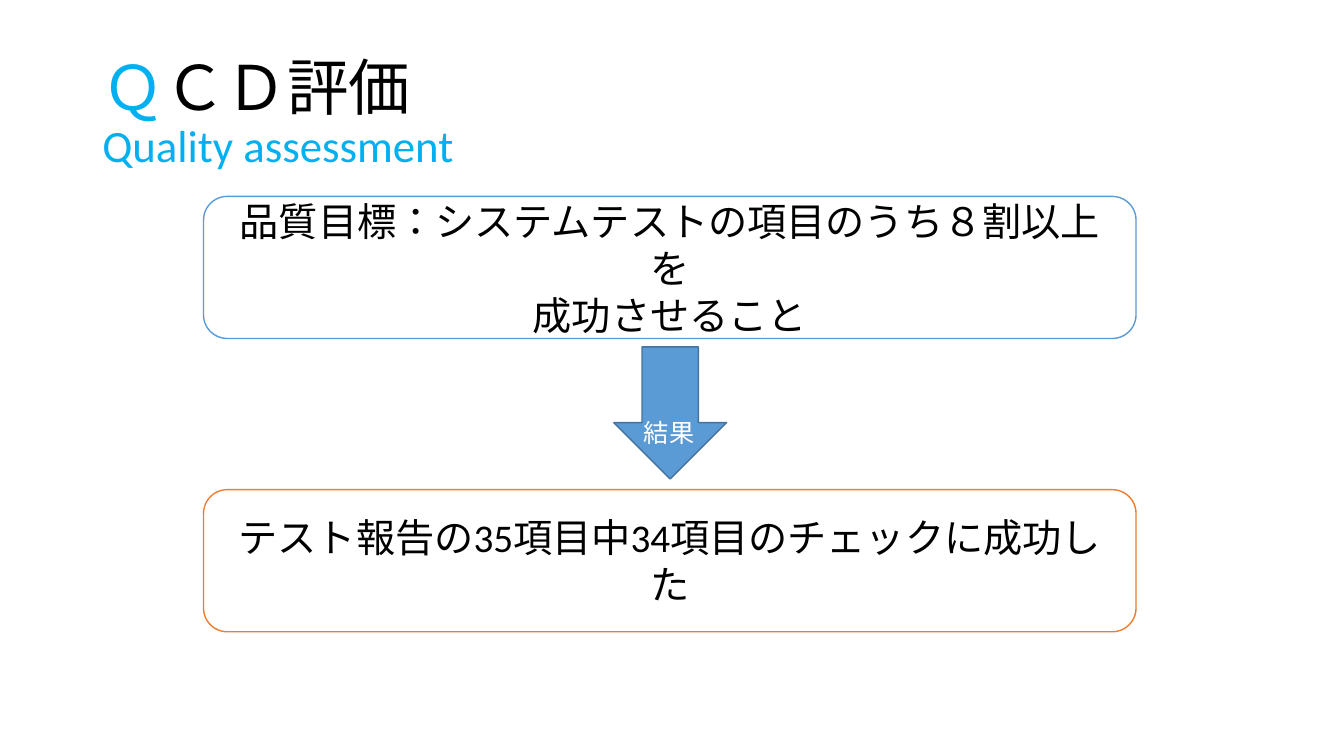
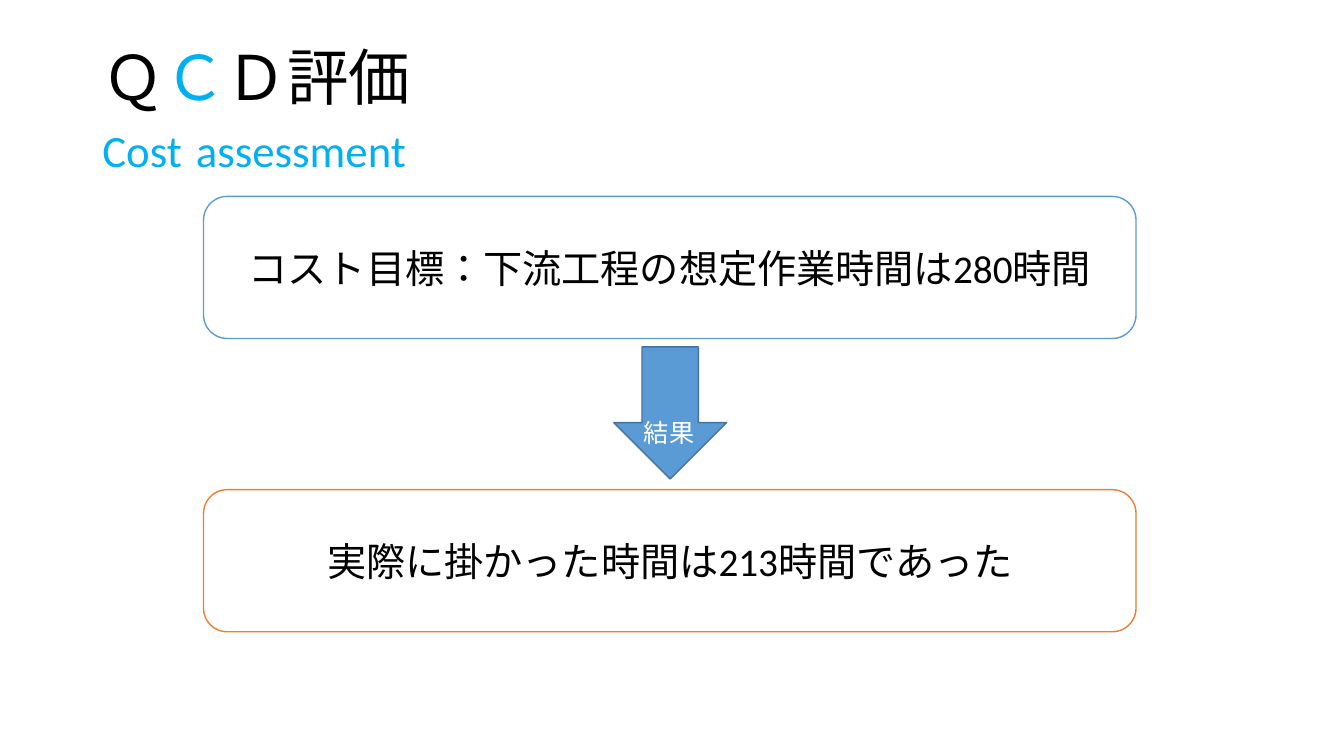
from dataclasses import dataclass
from typing import Any

import pptx
import pptx.dml.color
import pptx.enum.lang
import pptx.enum.shapes
import pptx.enum.text
import pptx.util

Cm = pptx.util.Cm
Pt = pptx.util.Pt
Shape = pptx.enum.shapes.MSO_SHAPE
Align = pptx.enum.text.PP_ALIGN
Anchor = pptx.enum.text.MSO_ANCHOR


@dataclass(frozen=True)
class Theme:
    font: str = "Calibri"
    text: str = "000000"
    paper: str = "FFFFFF"
    accent: str = "00B0F0"
    blue: str = "5B9BD5"
    dark_blue: str = "43739E"
    orange: str = "ED7D31"
    title_size: int = 44
    subtitle_size: int = 32
    body_size: int = 28
    label_size: int = 18


@dataclass(frozen=True)
class Run:
    text: str
    size: int
    color: str


@dataclass(frozen=True)
class Box:
    left: float
    top: float
    width: float
    height: float

    def emu(self) -> tuple[int, ...]:
        return tuple(Cm(v) for v in (self.left, self.top, self.width, self.height))


@dataclass(frozen=True)
class Assessment:
    letter: str
    subtitle: list[Run]
    goal: list[str]
    result: list[str]


THEME = Theme()
TITLE = Box(2.33, 1.04, 29.21, 3.68)
GOAL = Box(5.13, 4.95, 23.5, 3.58)
RESULT = Box(5.13, 12.34, 23.5, 3.58)
ARROW = Box(15.47, 8.74, 2.84, 3.33)
LABEL = Box(15.98, 10.39, 1.8, 1.02)


# Text
def write(tf: Any, paragraphs: list[list[Run]], *, align: Any = Align.LEFT,
          anchor: Any = Anchor.MIDDLE, wrap: bool = True,
          spacing: float = 1.0) -> None:
    """Fill a text frame; a run holding only a newline is a line break."""
    tf.word_wrap = wrap
    tf.vertical_anchor = anchor
    for i, runs in enumerate(paragraphs):
        p = tf.add_paragraph() if i else tf.paragraphs[0]
        p.alignment = align
        p.line_spacing = spacing
        for run in runs:
            if run.text == "\n":
                p.add_line_break()
                continue
            r = p.add_run()
            r.text = run.text
            r.font.name = THEME.font
            r.font.size = Pt(run.size)
            r.font.color.rgb = pptx.dml.color.RGBColor.from_string(run.color)
            r.font.language_id = pptx.enum.lang.MSO_LANGUAGE_ID.JAPANESE


# Shapes
def add_shape(s: Any, kind: Any, box: Box, fill: str, line: str) -> Any:
    sp = s.shapes.add_shape(kind, *box.emu())
    sp.shadow.inherit = False
    sp.fill.solid()
    sp.fill.fore_color.rgb = pptx.dml.color.RGBColor.from_string(fill)
    sp.line.color.rgb = pptx.dml.color.RGBColor.from_string(line)
    sp.line.width = Pt(1)
    return sp


def add_panel(s: Any, box: Box, line: str, texts: list[str]) -> None:
    sp = add_shape(s, Shape.ROUNDED_RECTANGLE, box, THEME.paper, line)
    write(sp.text_frame, [[Run(t, THEME.body_size, THEME.text)] for t in texts],
          align=Align.CENTER)


def add_title(s: Any, letter: str, subtitle: list[Run]) -> None:
    runs = [Run(c, THEME.title_size, THEME.accent if c == letter else THEME.text)
            for c in ("Ｑ", "Ｃ", "Ｄ", "評価")]
    sp = s.shapes.add_textbox(*TITLE.emu())
    write(sp.text_frame, [[*runs, Run("\n", THEME.title_size, THEME.text), *subtitle]],
          spacing=0.9)


def add_arrow(s: Any) -> None:
    add_shape(s, Shape.DOWN_ARROW, ARROW, THEME.blue, THEME.dark_blue)
    sp = s.shapes.add_textbox(*LABEL.emu())
    write(sp.text_frame, [[Run("結果", THEME.label_size, THEME.paper)]],
          anchor=Anchor.TOP, wrap=False)
    sp.text_frame.auto_size = pptx.enum.text.MSO_AUTO_SIZE.SHAPE_TO_FIT_TEXT


def add_assessment(prs: Any, item: Assessment) -> None:
    s = prs.slides.add_slide(prs.slide_layouts[6])
    add_title(s, item.letter, item.subtitle)
    add_panel(s, GOAL, THEME.blue, item.goal)
    add_panel(s, RESULT, THEME.orange, item.result)
    add_arrow(s)


# Content
def subtitle_run(text: str) -> Run:
    return Run(text, THEME.subtitle_size, THEME.accent)


ASSESSMENTS = [
    Assessment(
        "Ｑ", [subtitle_run("Quality assessment")],
        ["品質目標：システムテストの項目のうち８割以上を", "成功させること"],
        ["テスト報告の35項目中34項目のチェックに成功した"]),
    Assessment(
        "Ｃ", [subtitle_run("Cost"), Run(" ", THEME.title_size, THEME.text),
              subtitle_run("assessment")],
        ["コスト目標：下流工程の想定作業時間は280時間"],
        ["実際に掛かった時間は213時間であった"]),
]

# Presentation
prs = pptx.Presentation()
prs.slide_width, prs.slide_height = Cm(33.87), Cm(19.05)
for item in ASSESSMENTS:
    add_assessment(prs, item)
prs.save("out.pptx")
